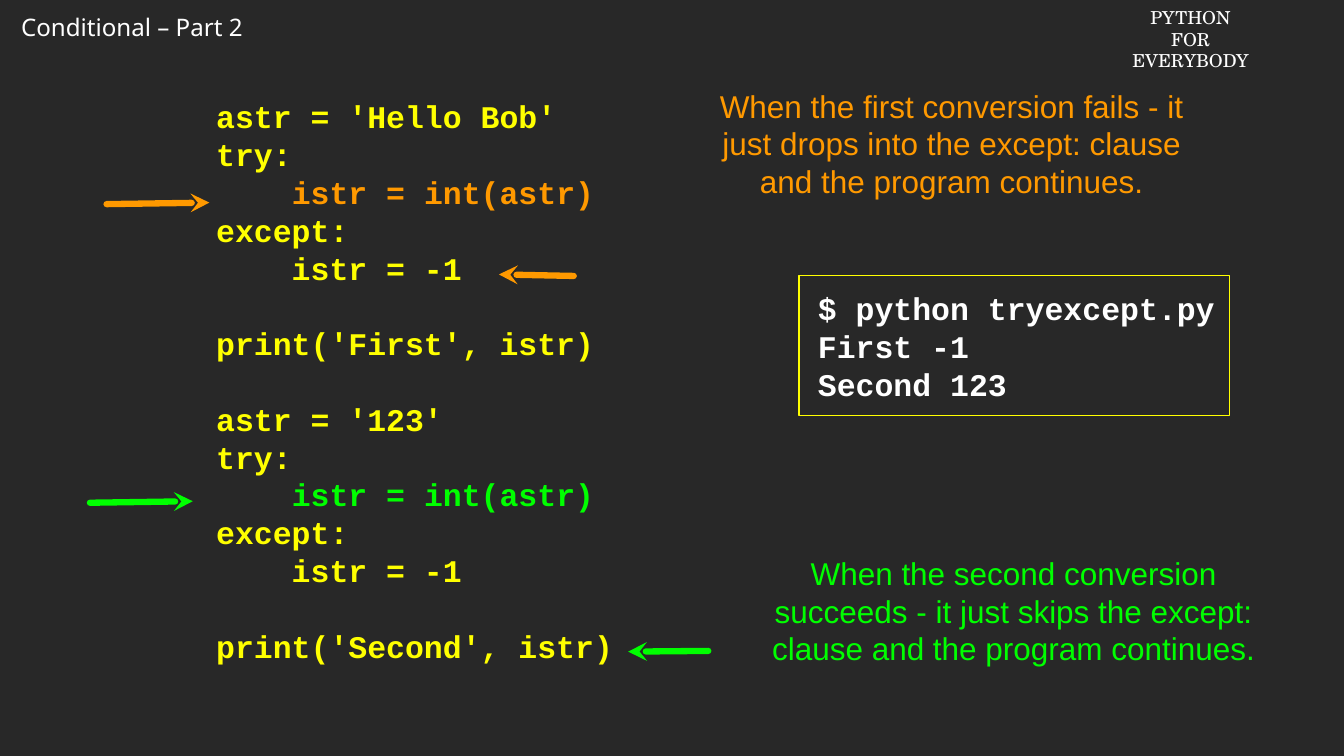
"""Build the slide on how try and except run twice."""
from lxml.etree import SubElement
from pptx import Presentation
from pptx.dml.color import RGBColor as RGB
from pptx.enum.shapes import MSO_CONNECTOR as LINE, MSO_SHAPE as SHAPE
from pptx.enum.text import MSO_ANCHOR as ANCHOR, MSO_AUTO_SIZE as FIT, PP_ALIGN as ALIGN
from pptx.oxml.ns import qn
from pptx.util import Inches, Pt

COLORS = {"ground": "282828", "white": "FFFFFF", "yellow": "FFFF00",
          "orange": "FF9900", "green": "00FF00"}

HEADER = {"name": "Noto Sans", "size": Pt(23)}
COURSE = {"name": "TeX Gyre Schola", "size": Pt(17)}
CODE = {"name": "Courier New", "size": Pt(30), "bold": True}
NOTE = {"name": "Arial", "size": Pt(30)}

GROW = {"auto_size": FIT.SHAPE_TO_FIT_TEXT}
FLUSH = {"word_wrap": True, "vertical_anchor": ANCHOR.MIDDLE, "margin_left": 0,
         "margin_top": 0, "margin_right": 0, "margin_bottom": 0}
LINE_PITCH = Pt(36)

ATTEMPT = "istr = int(astr)"
INDENT = "    "


def attempt_block(value, color, label):
    return [
        [[(f"astr = {value}", "yellow")],
         [("try:", "yellow")],
         [(INDENT, "yellow"), (ATTEMPT, color)],
         [("except:", "yellow")],
         [(f"{INDENT}istr = -1", "yellow")]],
        [[(f"print({label}, istr)", "yellow")]],
    ]


PROGRAM = (attempt_block("'Hello Bob'", "orange", "'First'")
           + attempt_block("'123'", "green", "'Second'"))
CONSOLE = [" $ python tryexcept.py", " First -1", " Second 123"]
NOTES = [
    ("When the first conversion fails - it just drops into the except: clause "
     "and the program continues.", "orange", (9.37, 1.11)),
    ("When the second conversion succeeds - it just skips the except: clause "
     "and the program continues.", "green", (10.19, 7.29)),
]
ARROWS = [
    ("orange", (2.77, 2.68), (1.41, 2.7)),
    ("orange", (6.6, 3.63), (7.59, 3.65)),
    ("green", (2.55, 6.63), (1.19, 6.65)),
    ("green", (8.31, 8.62), (9.37, 8.61)),
]


def rgb(color):
    return RGB.from_string(COLORS[color])


def plain(lines, color):
    return [[[(line, color)] for line in lines]]


def apply(target, values):
    for key, value in values.items():
        setattr(target, key, value)


def write(shape, blocks, font, frame_format, align=ALIGN.LEFT, pitch=None):
    frame = shape.text_frame
    apply(frame, frame_format)
    paragraph = None
    for block in blocks:
        for row, runs in enumerate(block):
            first = paragraph is None
            paragraph = frame.paragraphs[0] if first else frame.add_paragraph()
            gap = LINE_PITCH if row == 0 and not first else Pt(0)
            apply(paragraph, {"alignment": align, "line_spacing": pitch, "space_before": gap})
            for text, color in runs:
                run = paragraph.add_run()
                run.text = text
                apply(run.font, font)
                run.font.color.rgb = rgb(color)


def add_text(slide, at, *content):
    write(slide.shapes.add_textbox(*map(Inches, at)), *content)


def add_console(slide, at):
    console = slide.shapes.add_shape(SHAPE.RECTANGLE, *map(Inches, at))
    console.shadow.inherit = False
    console.fill.background()
    console.line.color.rgb = rgb("yellow")
    console.line.width = Pt(1)
    write(console, plain(CONSOLE, "white"), CODE, FLUSH, ALIGN.LEFT, LINE_PITCH)


def add_arrow(slide, color, tip, end):
    arrow = slide.shapes.add_connector(LINE.STRAIGHT, *map(Inches, tip + end))
    arrow.line.color.rgb = rgb(color)
    arrow.line.width = Pt(6)
    properties = arrow.element.spPr
    outline = properties.find(qn("a:ln"))
    outline.set("cap", "rnd")
    SubElement(outline, qn("a:headEnd"), type="stealth")
    SubElement(properties, qn("a:effectLst"))


def main():
    deck = Presentation()
    deck.slide_width, deck.slide_height = Inches(17.78), Inches(10)
    slide = deck.slides.add_slide(deck.slide_layouts[6])
    slide.background.fill.solid()
    slide.background.fill.fore_color.rgb = rgb("ground")

    add_text(slide, (0.18, 0.12, 3.28, 0.49), plain(["Conditional – Part 2"], "white"),
             HEADER, GROW | {"word_wrap": False})
    add_text(slide, (14.88, 0.04, 1.74, 0.67), plain(["PYTHON FOR", "EVERYBODY"], "white"),
             COURSE, GROW | {"word_wrap": True}, ALIGN.CENTER)
    add_text(slide, (2.86, 1.11, 5.69, 7.86), PROGRAM, CODE, FLUSH, ALIGN.LEFT, LINE_PITCH)
    add_console(slide, (10.57, 3.65, 5.69, 1.85))
    for note, color, corner in NOTES:
        add_text(slide, corner + (6.44, 1.57), plain([note], color),
                 NOTE, FLUSH, ALIGN.CENTER, LINE_PITCH)
    for arrow in ARROWS:
        add_arrow(slide, *arrow)
    deck.save("out.pptx")


if __name__ == "__main__":
    main()
